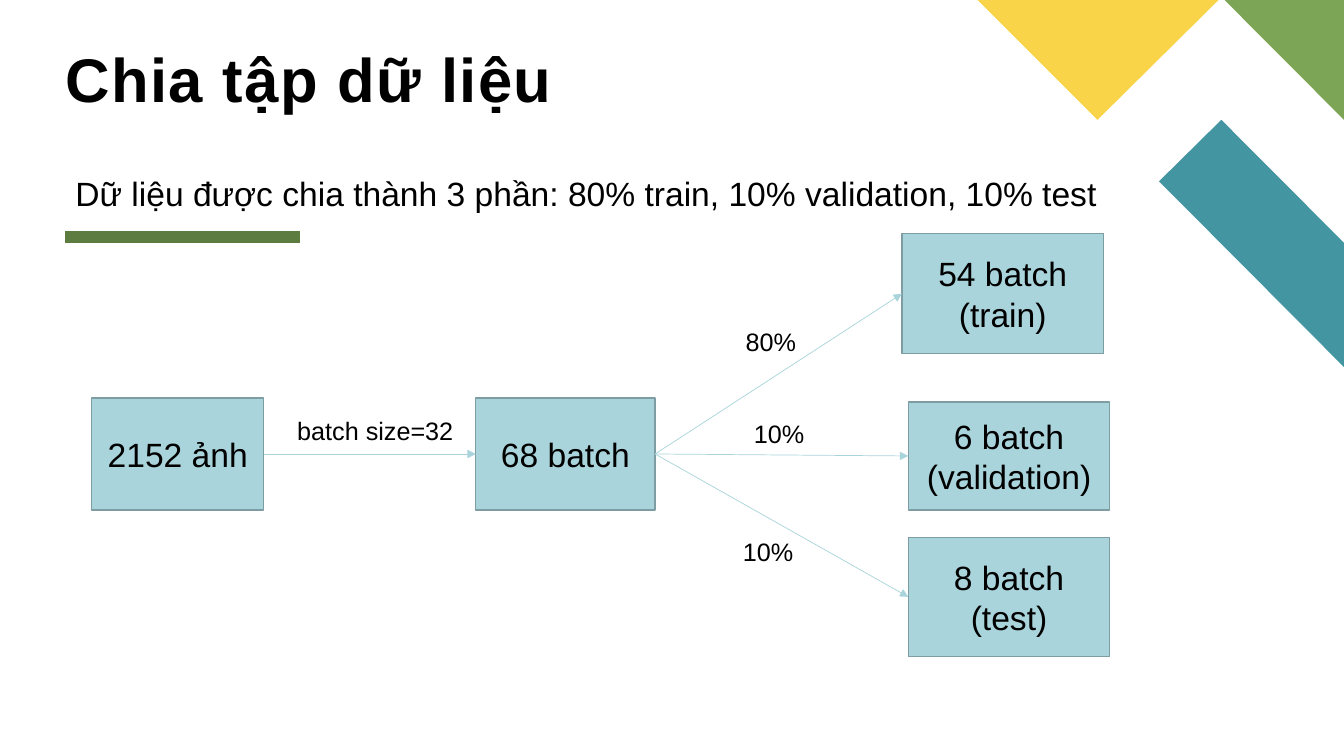
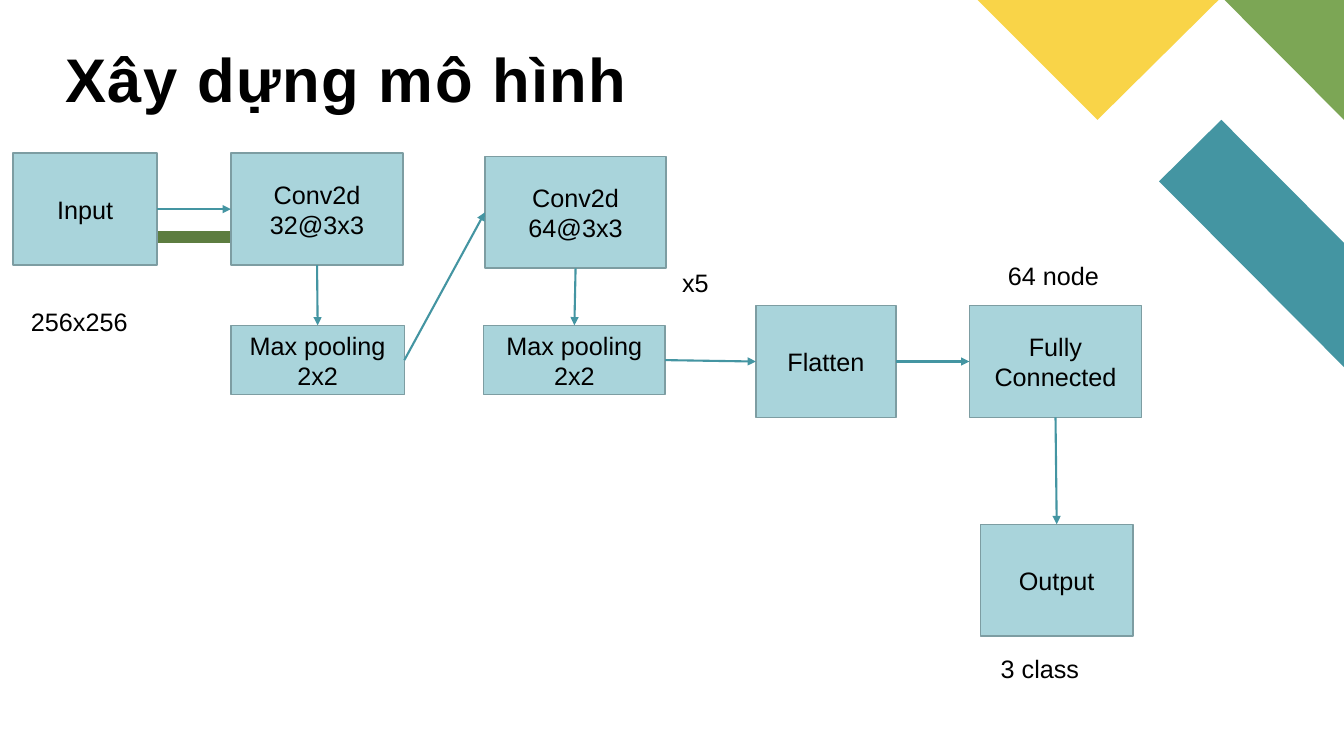
from pptx import Presentation
from pptx.dml.color import RGBColor
from pptx.enum.shapes import MSO_CONNECTOR as Connector, MSO_SHAPE as Preset
from pptx.enum.text import MSO_ANCHOR as Anchor, MSO_AUTO_SIZE as AutoSize, PP_ALIGN as Align
from pptx.oxml.ns import qn
from pptx.util import Cm, Pt
from lxml.etree import SubElement

FONT = "Arial"
BLACK, BOX_FILL, BOX_EDGE = "000000", "A9D4DB", "7D9DA2"
TEAL, GREEN, YELLOW, BAR = "4495A2", "7CA655", "F9D448", "5D7D40"
TOP, LEFT, BOTTOM, RIGHT = range(4)
CORNER = (
    (TEAL, [(33.87, 9.25), (33.87, 6.12), (30.78, 3.02), (29.21, 4.57)]),
    (GREEN, [(33.87, 3.02), (33.87, 0), (30.86, 0)]),
    (YELLOW, [(24.64, 0), (27.66, 3.02), (30.71, 0)]),
)


def color(value):
    """Turn a hex string into a colour."""
    return RGBColor.from_string(value)


class Designer:
    """Holds the deck style and draws on the current page."""

    def __init__(self):
        """Start a wide deck."""
        self.deck = Presentation()
        self.deck.slide_width, self.deck.slide_height = Cm(33.87), Cm(19.05)
        self.page = None

    def new_page(self, title):
        """Add a page with the corner pattern, the bar and a title."""
        self.page = self.deck.slides.add_slide(self.deck.slide_layouts[5])
        for fill, points in CORNER:
            self.polygon(fill, points)
        self.line((1.65, 5.97), (7.57, 5.97), BAR, 8)
        self.title(title)

    def title(self, text):
        """Place and format the title placeholder."""
        box = self.page.shapes.title
        box.left, box.top, box.width, box.height = Cm(1.65), Cm(0.76), Cm(27.15), Cm(2.11)
        frame = box.text_frame
        frame.margin_left = frame.margin_right = frame.margin_top = frame.margin_bottom = 0
        frame.vertical_anchor = Anchor.BOTTOM
        frame.auto_size = AutoSize.NONE
        self.add_text(frame, text, 44, Align.LEFT, bold=True)
        frame.paragraphs[0].line_spacing = 0.8
        for properties in box.element.iter(qn("a:rPr")):
            properties.set("spc", "100")

    def add_text(self, frame, text, size, align, bold=False):
        """Set each line of text as one paragraph."""
        frame.word_wrap = True
        for index, words in enumerate(text.split("\n")):
            para = frame.add_paragraph() if index else frame.paragraphs[0]
            para.alignment = align
            span = para.add_run()
            span.text = words
            span.font.name, span.font.size, span.font.bold = FONT, Pt(size), bold
            span.font.color.rgb = color(BLACK)

    def polygon(self, fill, points):
        """Draw a filled outline without an edge."""
        start, *others = [(Cm(x), Cm(y)) for x, y in points]
        builder = self.page.shapes.build_freeform(*start)
        builder.add_line_segments(others, close=True)
        shape = builder.convert_to_shape()
        shape.shadow.inherit = False
        shape.fill.solid()
        shape.fill.fore_color.rgb = color(fill)
        shape.line.fill.background()

    def line(self, start, end, stroke, width):
        """Draw a straight line without a shadow."""
        line = self.page.shapes.add_connector(Connector.STRAIGHT, *map(Cm, start + end))
        line.line.color.rgb = color(stroke)
        line.line.width = Pt(width)
        SubElement(line.element.spPr, qn("a:effectLst"))
        return line

    def arrow(self, source, source_side, target, target_side, stroke, width):
        """Join the sides of two boxes with an arrow."""
        arrow = self.line((0, 0), (0, 0), stroke, width)
        arrow.begin_connect(source, source_side)
        arrow.end_connect(target, target_side)
        SubElement(arrow.element.spPr.find(qn("a:ln")), qn("a:tailEnd"), type="triangle")

    def box(self, text, left, top, width, height=2.82, size=18):
        """Draw a labelled rectangle."""
        box = self.page.shapes.add_shape(Preset.RECTANGLE, *map(Cm, (left, top, width, height)))
        box.shadow.inherit = False
        box.fill.solid()
        box.fill.fore_color.rgb = color(BOX_FILL)
        box.line.color.rgb = color(BOX_EDGE)
        box.line.width = Pt(1)
        box.text_frame.vertical_anchor = Anchor.MIDDLE
        self.add_text(box.text_frame, text, size, Align.CENTER)
        return box

    def label(self, text, left, top, width=3.3, height=1.02, size=18):
        """Add free text."""
        box = self.page.shapes.add_textbox(*map(Cm, (left, top, width, height)))
        self.add_text(box.text_frame, text, size, Align.LEFT)
        box.text_frame.auto_size = AutoSize.SHAPE_TO_FIT_TEXT


def split_page(designer):
    """Show how the data set is divided."""
    designer.new_page("Chia tập dữ liệu")
    designer.label("Dữ liệu được chia thành 3 phần: 80% train, 10% validation, 10% test",
                   1.65, 4.24, 28.12, 1.27, 24)
    images = designer.box("2152 ảnh", 2.31, 10.03, 4.34, size=24)
    batches = designer.box("68 batch", 11.99, 10.03, 4.52, size=24)
    designer.arrow(images, RIGHT, batches, LEFT, BOX_FILL, 0.5)
    for text, left, top, height in (
        ("54 batch\n(train)", 22.73, 5.89, 3.02),
        ("6 batch\n(validation)", 22.89, 10.13, 2.72),
        ("8 batch\n(test)", 22.89, 13.54, 3),
    ):
        part = designer.box(text, left, top, 5.08, height, 24)
        designer.arrow(batches, RIGHT, part, LEFT, BOX_FILL, 0.5)
    designer.label("batch size=32", 7.24, 10.34, 4.52)
    for text, left, top in (("80%", 18.54, 8.1), ("10%", 18.75, 10.41), ("10%", 18.47, 13.39)):
        designer.label(text, left, top, 2.34)


def model_page(designer):
    """Show the layers of the network."""
    designer.new_page("Xây dựng mô hình")
    source = designer.box("Input", 0.33, 3.86, 3.63)
    conv_32 = designer.box("Conv2d\n32@3x3", 5.82, 3.86, 4.34)
    conv_64 = designer.box("Conv2d\n64@3x3", 12.22, 3.94, 4.57)
    pool_32 = designer.box("Max pooling\n2x2", 5.82, 8.2, 4.37, 1.75)
    pool_64 = designer.box("Max pooling\n2x2", 12.19, 8.2, 4.57, 1.75)
    flatten = designer.box("Flatten", 19.05, 7.7, 3.53)
    dense = designer.box("Fully Connected", 24.43, 7.7, 4.34)
    output = designer.box("Output", 24.71, 13.21, 3.84)
    for link in (
        (source, RIGHT, conv_32, LEFT),
        (conv_32, BOTTOM, pool_32, TOP),
        (pool_32, RIGHT, conv_64, LEFT),
        (conv_64, BOTTOM, pool_64, TOP),
        (pool_64, RIGHT, flatten, LEFT),
        (flatten, RIGHT, dense, LEFT),
        (dense, BOTTOM, output, TOP),
    ):
        designer.arrow(*link, TEAL, 1.5)
    for text, left, top in (
        ("256x256", 0.53, 7.59),
        ("x5", 16.94, 6.6),
        ("64 node", 25.15, 6.43),
        ("3 class", 24.97, 16.33),
    ):
        designer.label(text, left, top)


def main():
    """Build and save the deck."""
    designer = Designer()
    split_page(designer)
    model_page(designer)
    designer.deck.save("out.pptx")


if __name__ == "__main__":
    main()
